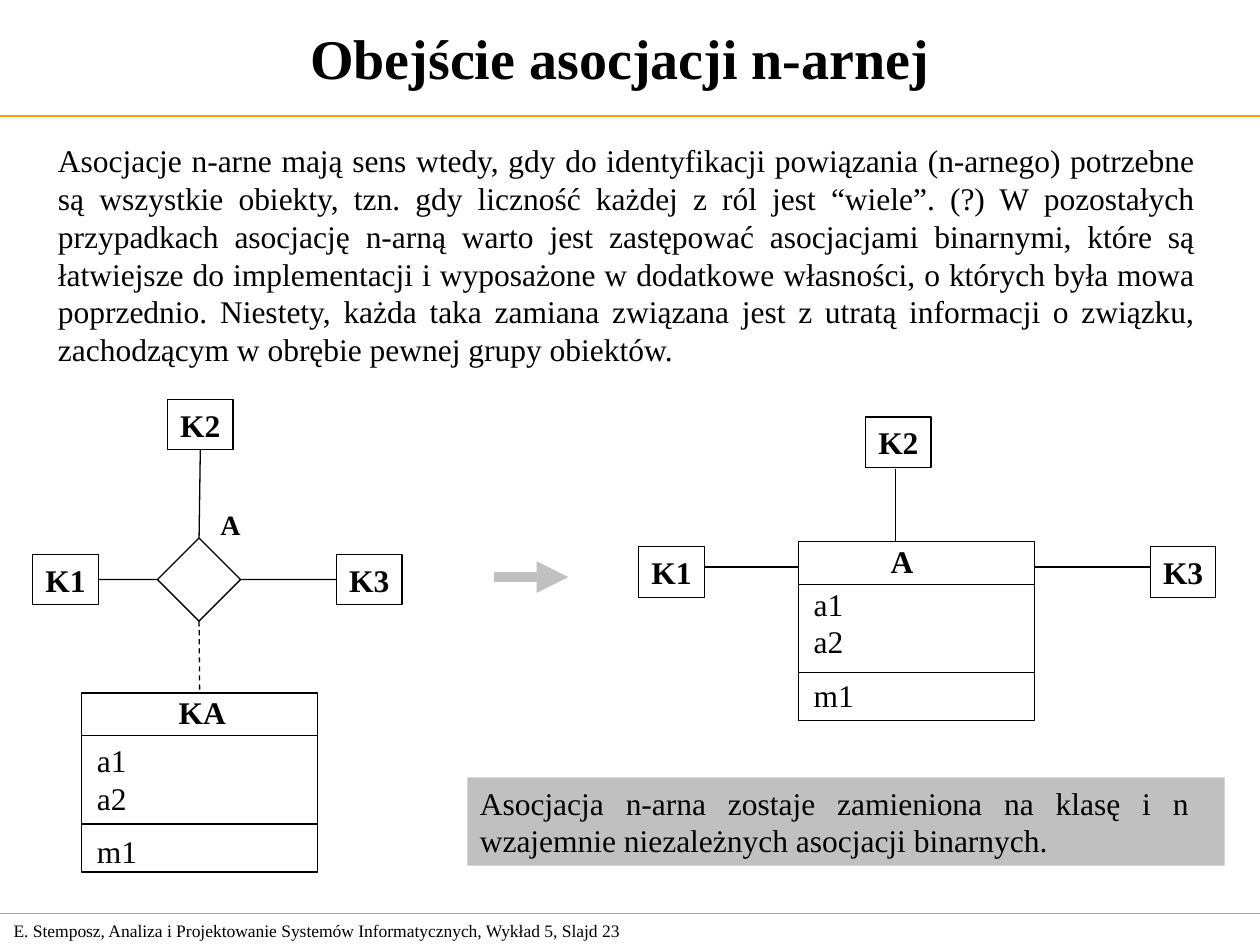
from dataclasses import dataclass
from typing import Optional

from pptx import Presentation
from pptx.dml.color import RGBColor
from pptx.enum.dml import MSO_LINE_DASH_STYLE as Dash
from pptx.enum.shapes import MSO_CONNECTOR as Connector, MSO_SHAPE as Shape
from pptx.enum.text import MSO_ANCHOR as Anchor, MSO_AUTO_SIZE as AutoSize, PP_ALIGN as Align
from pptx.oxml import parse_xml
from pptx.oxml.ns import nsdecls
from pptx.util import Inches, Pt

COLORS = {"ink": "000000", "rule": "FF9900", "gray": "C0C0C0"}
FONT = "Times New Roman"
TOP, LEFT, BOTTOM, RIGHT = range(4)


@dataclass
class Node:
    name: str
    left: float
    top: float
    width: float = 0.52
    height: float = 0.4


@dataclass
class ClassBox:
    name: str
    left: float
    top: float
    name_left: float
    name_width: float
    attributes_drop: float
    width: float = 1.87
    height: float = 1.42


@dataclass
class Line:
    start: tuple[float, float]
    end: tuple[float, float]
    color: str = "ink"
    weight: float = 0.75
    dashed: bool = False
    arrow: bool = False


def color_of(name: str) -> RGBColor:
    return RGBColor.from_string(COLORS[name])


def write(frame, text: str, *, size: float = 18, bold: bool = False, align=Align.LEFT,
          anchor=Anchor.TOP, wrap: bool = True, last_gap: float = 0) -> None:
    frame.word_wrap = wrap
    frame.auto_size = AutoSize.NONE
    frame.vertical_anchor = anchor
    frame.text = text
    for para in frame.paragraphs:
        para.alignment = align
        para.space_before = Pt(0)
        for span in para.runs:
            span.font.name = FONT
            span.font.size = Pt(size)
            span.font.bold = bold
            span.font.color.rgb = color_of("ink")
    if last_gap:
        frame.paragraphs[-1].space_before = Pt(last_gap)


def place(shape, left: float, top: float, width: float, height: float) -> None:
    shape.left, shape.top = Inches(left), Inches(top)
    shape.width, shape.height = Inches(width), Inches(height)


def add_label(page, text: str, left: float, top: float, width: float, height: float, **style):
    box = page.shapes.add_textbox(Inches(left), Inches(top), Inches(width), Inches(height))
    write(box.text_frame, text, **style)


def add_outline(page, kind, left: float, top: float, width: float, height: float,
                fill: Optional[str] = None):
    shape = page.shapes.add_shape(kind, Inches(left), Inches(top), Inches(width), Inches(height))
    shape.shadow.inherit = False
    if fill:
        shape.fill.solid()
        shape.fill.fore_color.rgb = color_of(fill)
        shape.line.fill.background()
    else:
        shape.fill.background()
        shape.line.color.rgb = color_of("ink")
        shape.line.width = Pt(0.75)
    return shape


def add_line(page, line: Line):
    connector = page.shapes.add_connector(
        Connector.STRAIGHT, *(Inches(value) for value in line.start + line.end))
    connector.line.color.rgb = color_of(line.color)
    connector.line.width = Pt(line.weight)
    if line.dashed:
        connector.line.dash_style = Dash.DASH
    if line.arrow:
        connector.line._get_or_add_ln().append(
            parse_xml(f'<a:tailEnd {nsdecls("a")} type="triangle"/>'))
    connector._element.spPr.append(parse_xml(f'<a:effectLst {nsdecls("a")}/>'))
    return connector


def join(page, first, first_side: int, second, second_side: int, dashed: bool = False) -> None:
    connector = add_line(page, Line((0, 0), (1, 1), dashed=dashed))
    connector.begin_connect(first, first_side)
    connector.end_connect(second, second_side)


def add_node(page, node: Node):
    box = add_outline(page, Shape.RECTANGLE, node.left, node.top, node.width, node.height)
    write(box.text_frame, node.name, bold=True, align=Align.CENTER, anchor=Anchor.MIDDLE, wrap=False)
    return box


def add_class(page, item: ClassBox):
    box = add_outline(page, Shape.RECTANGLE, item.left, item.top, item.width, item.height)
    add_label(page, item.name, item.name_left, item.top - 0.05, item.name_width, 0.4,
              bold=True, wrap=False)
    add_label(page, "a1\na2\nm1", item.left + 0.02, item.top + item.attributes_drop, 0.52, 1.14,
              wrap=False, last_gap=9)
    for drop in (0.34, 1.04):
        y = item.top + drop
        add_line(page, Line((item.left, y), (item.left + item.width, y)))
    return box


def add_texts(page) -> None:
    title, body = page.placeholders
    place(title, 0, -0.01, 9.84, 0.93)
    write(title.text_frame, "Obejście asocjacji n-arnej", size=32, bold=True,
          align=Align.CENTER, anchor=Anchor.MIDDLE)
    place(body, 0.36, 1.07, 9.23, 1.9)
    write(body.text_frame,
          "Asocjacje n-arne mają sens wtedy, gdy do identyfikacji powiązania (n-arnego) potrzebne "
          "są wszystkie obiekty, tzn. gdy liczność każdej z ról jest “wiele”. (?) W pozostałych "
          "przypadkach asocjację n-arną warto jest zastępować asocjacjami binarnymi, które są "
          "łatwiejsze do implementacji i wyposażone w dodatkowe własności, o których była mowa "
          "poprzednio. Niestety, każda taka zamiana związana jest z utratą informacji o związku, "
          "zachodzącym w obrębie pewnej grupy obiektów.", align=Align.JUSTIFY)
    properties = body.text_frame.paragraphs[0]._p.get_or_add_pPr()
    properties.set("marL", "0")
    properties.set("indent", "0")
    properties.append(parse_xml(f'<a:buNone {nsdecls("a")}/>'))

    add_label(page, "E. Stemposz, Analiza i Projektowanie Systemów Informatycznych, "
              "Wykład 5, Slajd 23", 0.01, 7.25, 5.24, 0.27, size=10, anchor=Anchor.MIDDLE)
    for y in (0.92, 7.25):
        add_line(page, Line((0, y), (10, y), color="rule"))

    note = add_outline(page, Shape.RECTANGLE, 3.71, 6.17, 6.01, 0.7, fill="gray")
    write(note.text_frame, "Asocjacja n-arna zostaje zamieniona na klasę i n "
          "wzajemnie niezależnych asocjacji binarnych.", align=Align.JUSTIFY)
    note.text_frame.margin_right = Inches(0.28)


def add_ternary_association(page) -> None:
    k1, k2, k3 = (add_node(page, node) for node in (
        Node("K1", 0.26, 4.4), Node("K2", 1.33, 3.17), Node("K3", 2.67, 4.4)))
    diamond = add_outline(page, Shape.DIAMOND, 1.25, 4.27, 0.66, 0.66)
    add_label(page, "A", 1.65, 3.98, 0.36, 0.37, size=16, bold=True, wrap=False)
    association = add_class(page, ClassBox("KA", 0.65, 5.5, 1.32, 0.57, 0.33))
    join(page, k1, RIGHT, diamond, LEFT)
    join(page, k2, BOTTOM, diamond, TOP)
    join(page, diamond, RIGHT, k3, LEFT)
    join(page, diamond, BOTTOM, association, TOP, dashed=True)


def add_binary_associations(page) -> None:
    for node in (Node("K1", 5.07, 4.34), Node("K2", 6.87, 3.31), Node("K3", 9.13, 4.34)):
        add_node(page, node)
    add_class(page, ClassBox("A", 6.34, 4.3, 6.97, 0.38, 0.29))
    for line in (Line((5.59, 4.5), (6.34, 4.5)),
                 Line((7.11, 3.72), (7.11, 4.3)),
                 Line((8.21, 4.5), (9.13, 4.5))):
        add_line(page, line)


def main() -> None:
    deck = Presentation()
    deck.slide_width, deck.slide_height = Inches(10), Inches(7.5)
    page = deck.slides.add_slide(deck.slide_layouts[1])
    add_texts(page)
    add_binary_associations(page)
    add_ternary_association(page)
    add_line(page, Line((3.92, 4.58), (4.51, 4.58), color="gray", weight=6, arrow=True))
    deck.save("out.pptx")


if __name__ == "__main__":
    main()
